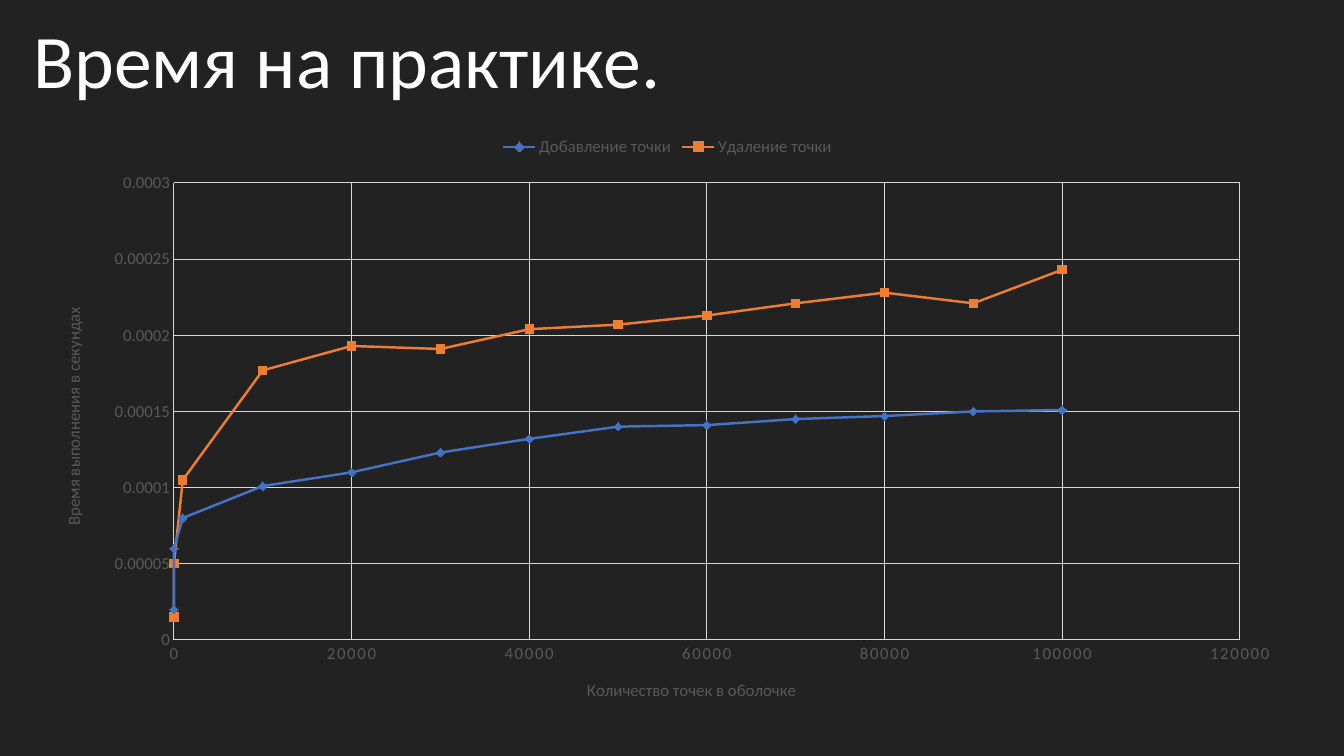
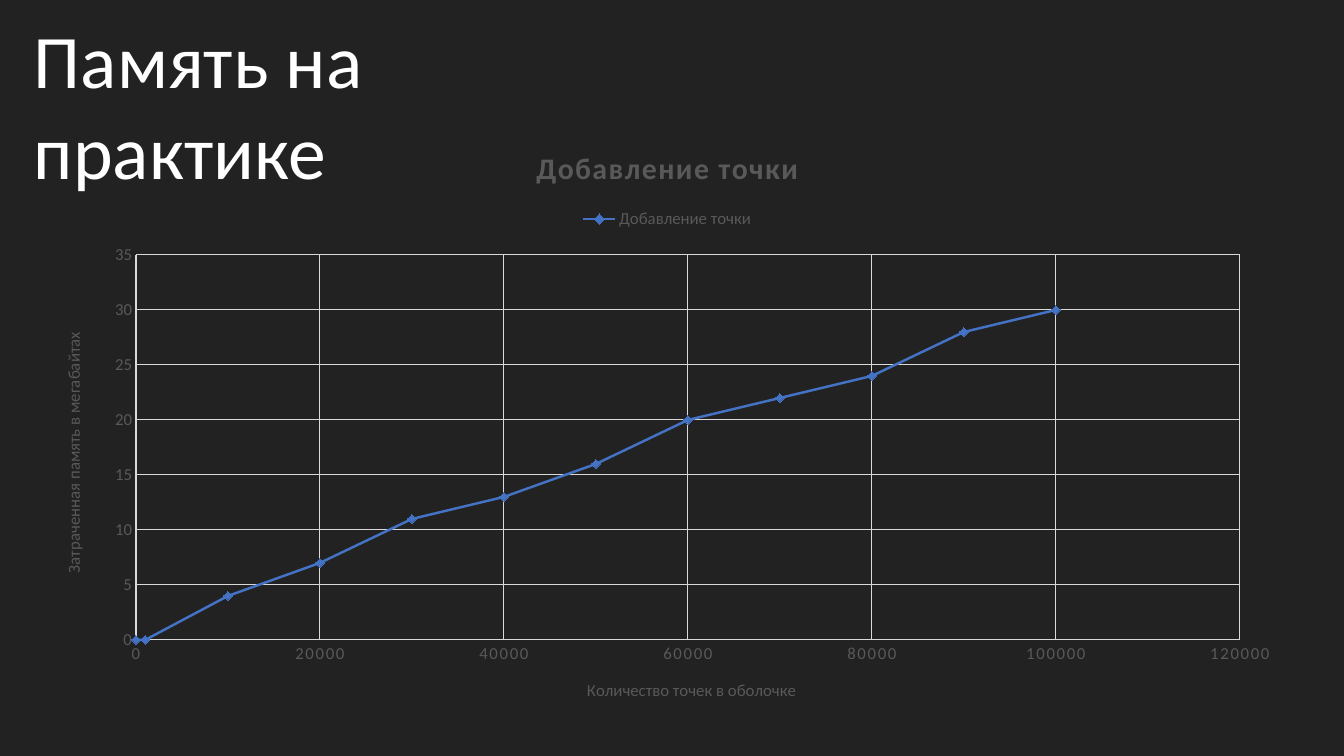
"""Builds two dark slides with scatter charts of running time and memory use."""
from lxml.etree import SubElement
from pptx import Presentation
from pptx.chart.data import XyChartData
from pptx.dml.color import RGBColor
from pptx.enum.chart import XL_CHART_TYPE as ChartType
from pptx.enum.chart import XL_LEGEND_POSITION as LegendPosition
from pptx.enum.chart import XL_MARKER_STYLE as Marker
from pptx.enum.chart import XL_TICK_MARK as TickMark
from pptx.oxml import parse_xml
from pptx.oxml.ns import nsdecls, qn
from pptx.util import Emu, Pt

FONT = "Calibri"
BACKGROUND, WHITE, GREY, GRID = "222222", "FFFFFF", "595959", "D9D9D9"
WIDE_SPACING = 120
ADDING, REMOVING = "Добавление точки", "Удаление точки"
STYLES = {ADDING: ("4472C4", Marker.DIAMOND), REMOVING: ("ED7D31", Marker.SQUARE)}
POINT_COUNTS = [0, 0, 1000, *range(10000, 100001, 10000)]
COUNT_TITLE = "Количество точек в оболочке"
COUNT_TITLE_AT = (584, 676)
CHART_BOX = (41, 125, 1252, 598)

SLIDES = [
    {
        "heading": "Время на практике.",
        "heading_box": (24, 8, 661, 102),
        "value_title": "Время выполнения в секундах",
        "value_title_at": (59, 304),
        "value_scale": (0.0003, 0.00005),
        "legend_at": (498, 133),
        "plot": (174, 183, 1066, 457),
        "series": {
            ADDING: [0.00002, 0.00006, 0.00008, 0.000101, 0.00011, 0.000123, 0.000132,
                     0.00014, 0.000141, 0.000145, 0.000147, 0.00015, 0.000151],
            REMOVING: [0.000015, 0.00005, 0.000105, 0.000177, 0.000193, 0.000191, 0.000204,
                       0.000207, 0.000213, 0.000221, 0.000228, 0.000221, 0.000243],
        },
    },
    {
        "heading": "Память на\vпрактике",
        "heading_box": (24, 8, 654, 102),
        "chart_title": ADDING,
        "chart_title_at": (531, 142),
        "value_title": "Затраченная память в мегабайтах",
        "value_title_at": (59, 329),
        "value_scale": (35, 5),
        "legend_at": (578, 205),
        "plot": (136, 255, 1104, 385),
        "series": {ADDING: [0, 0, 0, 4, 7, 11, 13, 16, 20, 22, 24, 28, 30]},
    },
]


def px(length):
    return Emu(round(length * 914400 / 100.8))


def rgb(value):
    return RGBColor.from_string(value)


def style_font(font, size, color, bold=False, spacing=None):
    font.name, font.size, font.bold = FONT, Pt(size), bold
    font.color.rgb = rgb(color)
    if spacing:
        font._element.set("spc", str(spacing))


def write(frame, text, **style):
    paragraph = frame.paragraphs[0]
    paragraph.text = text
    for run in paragraph.runs:
        style_font(run.font, **style)


def style_line(line, color, width):
    line.color.rgb = rgb(color)
    line.width = Pt(width)


def place(part, box):
    """Pins a chart part at a slide position given in px."""
    for old in part.findall(qn("c:layout")):
        part.remove(old)
    layout = parse_xml(f"<c:layout {nsdecls('c')}><c:manualLayout/></c:layout>")
    left, top, width, height = CHART_BOX
    fractions = [(box[0] - left) / width, (box[1] - top) / height]
    settings = [("xMode", "edge"), ("yMode", "edge")]
    if len(box) == 4:
        settings.insert(0, ("layoutTarget", "inner"))
        fractions += [box[2] / width, box[3] / height]
    settings += zip("xywh", (f"{fraction:.4f}" for fraction in fractions))
    for tag, value in settings:
        SubElement(layout[0], qn(f"c:{tag}")).set("val", value)
    overlay = part.find(qn("c:overlay"))
    if overlay is None:
        part.insert(0, layout)
    else:
        overlay.addprevious(layout)


def style_axis(axis, title, title_at, scale, spacing=None):
    axis.minimum_scale = 0
    axis.maximum_scale, axis.major_unit = scale
    axis.major_tick_mark = axis.minor_tick_mark = TickMark.NONE
    axis.has_major_gridlines = True
    for line in (axis.format.line, axis.major_gridlines.format.line):
        style_line(line, GRID, 0.75)
    style_font(axis.tick_labels.font, 12, GREY, spacing=spacing)
    axis.tick_labels.number_format = "General"
    axis.tick_labels.number_format_is_linked = False
    write(axis.axis_title.text_frame, title, size=12, color=GREY)
    place(axis.axis_title._element, title_at)


def add_heading(slide, text, box):
    frame = slide.shapes.add_textbox(*map(px, box)).text_frame
    frame.word_wrap = True
    write(frame, text, size=54, color=WHITE)


def add_measurements(slide, content):
    data = XyChartData()
    for name, values in content["series"].items():
        series = data.add_series(name)
        for count, value in zip(POINT_COUNTS, values):
            series.add_data_point(count, value)
    chart = slide.shapes.add_chart(ChartType.XY_SCATTER_LINES, *map(px, CHART_BOX), data).chart
    style_font(chart.font, 10, "000000")
    chart.plots[0].vary_by_categories = False
    for series in chart.plots[0].series:
        color, marker = STYLES[series.name]
        series.smooth = False
        style_line(series.format.line, color, 1.75)
        series.marker.style, series.marker.size = marker, 6
        series.marker.format.fill.solid()
        series.marker.format.fill.fore_color.rgb = rgb(color)
        style_line(series.marker.format.line, color, 0.75)

    style_axis(chart.category_axis, COUNT_TITLE, COUNT_TITLE_AT, (120000, 20000),
               spacing=WIDE_SPACING)
    style_axis(chart.value_axis, content["value_title"], content["value_title_at"],
               content["value_scale"])
    turned = chart.value_axis.axis_title.text_frame._txBody.bodyPr
    turned.set("rot", "-5400000")
    turned.set("vert", "horz")

    chart.has_legend = True
    chart.legend.position = LegendPosition.TOP
    chart.legend.include_in_layout = False
    style_font(chart.legend.font, 12, GREY)
    place(chart.legend._element, content["legend_at"])
    place(chart.element.xpath(".//c:plotArea")[0], content["plot"])

    chart.has_title = "chart_title" in content
    if chart.has_title:
        write(chart.chart_title.text_frame, content["chart_title"],
              size=21.3, color=GREY, bold=True, spacing=WIDE_SPACING)
        place(chart.chart_title._element, content["chart_title_at"])


def main():
    deck = Presentation()
    deck.slide_width, deck.slide_height = px(1344), px(756)
    backdrop = deck.slide_master.background.fill
    backdrop.solid()
    backdrop.fore_color.rgb = rgb(BACKGROUND)
    for content in SLIDES:
        slide = deck.slides.add_slide(deck.slide_layouts[6])
        add_heading(slide, content["heading"], content["heading_box"])
        add_measurements(slide, content)
    deck.save("out.pptx")


if __name__ == "__main__":
    main()
